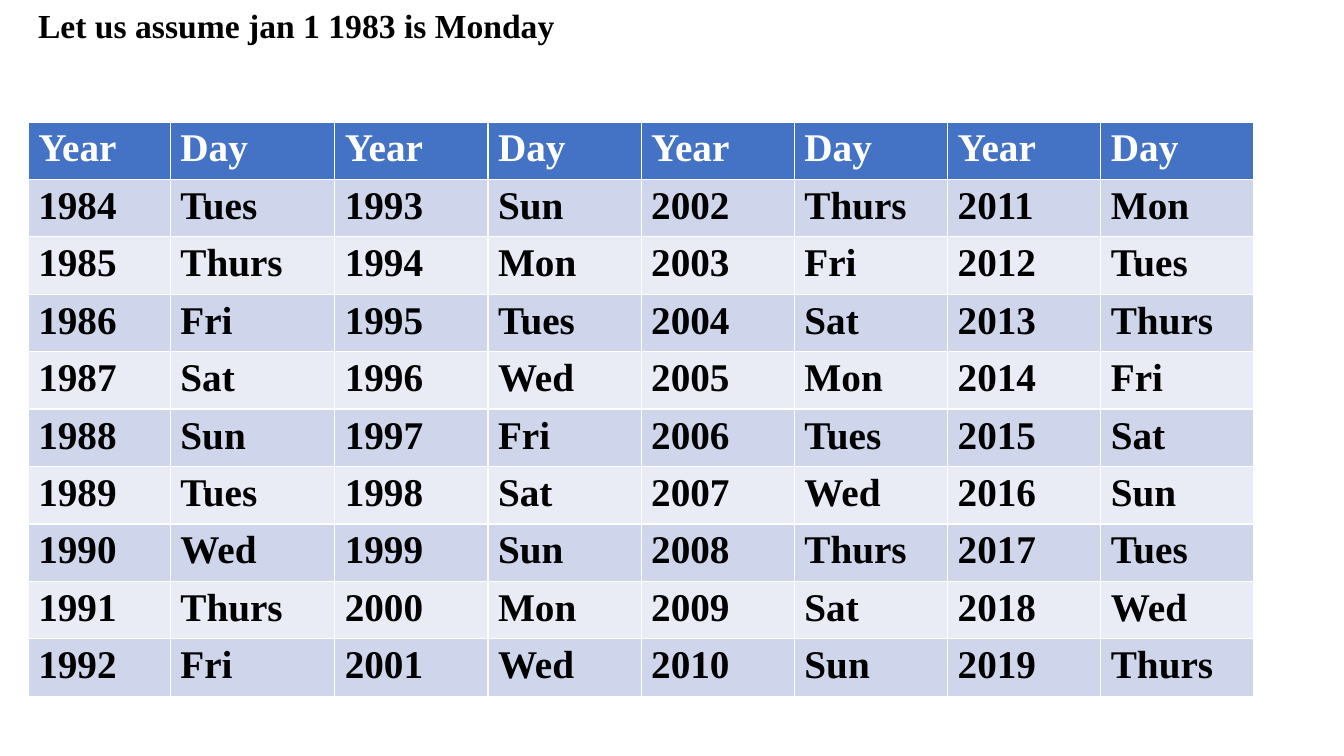
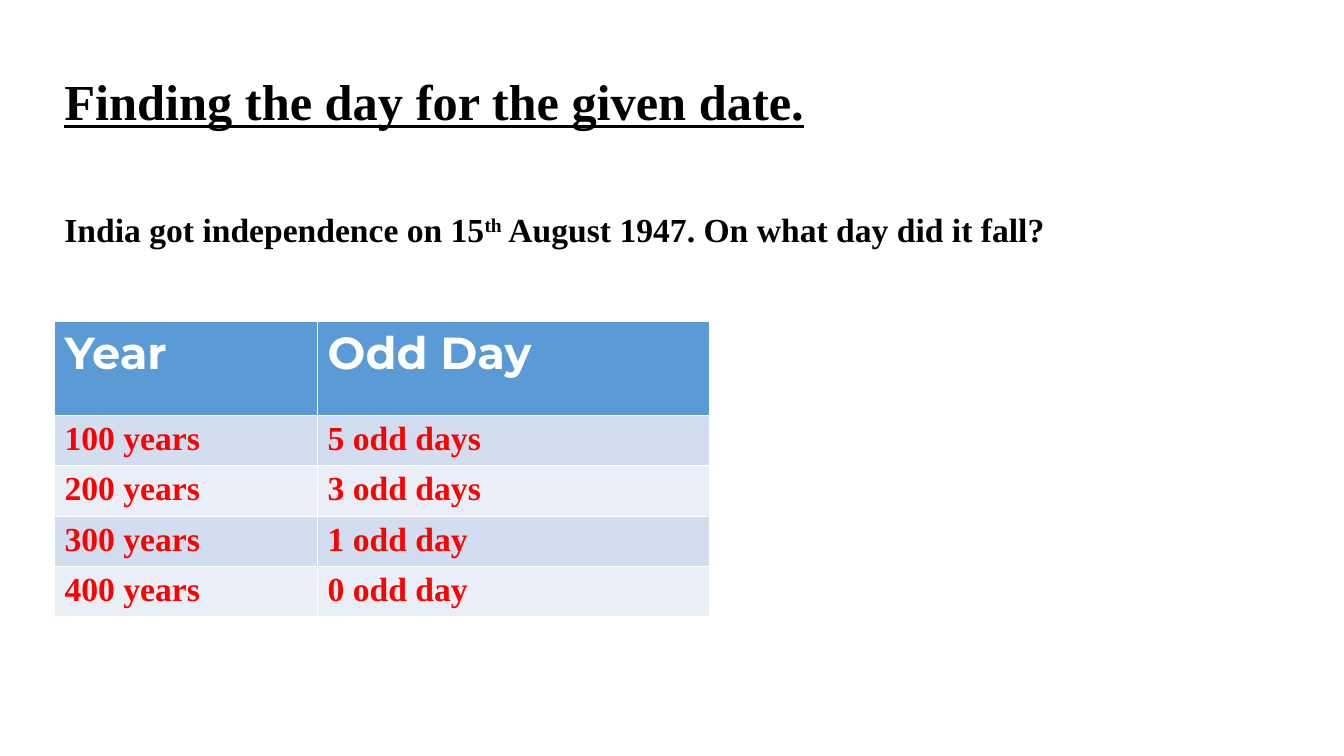
from dataclasses import dataclass

from pptx import Presentation
from pptx.dml.color import RGBColor as RGB
from pptx.enum.text import MSO_AUTO_SIZE as Fit
from pptx.util import Inches, Pt


@dataclass(frozen=True)
class Theme:
    serif: str = "Times New Roman"
    sans: str = "Montserrat"
    black: str = "000000"
    white: str = "FFFFFF"
    red: str = "FF0000"
    blue: tuple = ("4472C4", "CFD5EA", "E9EBF5")
    sky: tuple = ("5B9BD5", "D2DEEF", "EAEFF7")
    body: int = 24
    cell: int = 28
    head: int = 32
    title: int = 36


@dataclass(frozen=True)
class Style:
    size: int
    color: str
    font: str = Theme.serif
    line: bool = False


THEME = Theme()
DAYS = ["Mon", "Tues", "Wed", "Thurs", "Fri", "Sat", "Sun"]


def style_run(run, style):
    font = run.font
    font.name, font.size, font.bold = style.font, Pt(style.size), True
    font.color.rgb = RGB.from_string(style.color)
    if style.line:
        font.underline = True


def add_text(slide, box, parts, style, wrap=False):
    """Write one line; every second part is a superscript."""
    frame = slide.shapes.add_textbox(*map(Inches, box)).text_frame
    frame.word_wrap = wrap
    frame.auto_size = Fit.SHAPE_TO_FIT_TEXT
    para = frame.paragraphs[0]
    for pos, part in enumerate(parts):
        run = para.add_run()
        run.text = part
        style_run(run, style)
        if pos % 2:
            run.font._element.set("baseline", "30000")


def add_grid(slide, spot, cols, highs, rows, fills, head, body):
    """Draw a table with a header fill and two alternating row fills."""
    box = map(Inches, (*spot, sum(cols), sum(highs)))
    table = slide.shapes.add_table(len(rows), len(cols), *box).table
    for col, width in zip(table.columns, cols):
        col.width = Inches(width)
    for num, row in enumerate(rows):
        table.rows[num].height = Inches(highs[num])
        fill = fills[2 - num % 2] if num else fills[0]
        for pos, text in enumerate(row):
            cell = table.cell(num, pos)
            cell.fill.solid()
            cell.fill.fore_color.rgb = RGB.from_string(fill)
            cell.text_frame.text = text
            style_run(cell.text_frame.paragraphs[0].runs[0], body if num else head)


def first_day(year):
    """Name the day of January 1, one day on per year and two after a leap year."""
    leaps = (year - 1) // 4 - 1983 // 4
    return DAYS[(year - 1983 + leaps) % 7]


def year_rows(start, count, pairs):
    rows = [["Year", "Day"] * pairs]
    for first in range(start, start + count):
        years = range(first, first + count * pairs, count)
        rows.append([text for year in years for text in (str(year), first_day(year))])
    return rows


def add_years(slide):
    add_text(slide, (0.28, 0, 12.87, 0.5), ["Let us assume jan 1 1983 is Monday"],
             Style(THEME.body, THEME.black), wrap=True)
    add_grid(slide, (0.28, 1.21), [1.41, 1.63] + [1.52] * 6, [0.57] * 10,
             year_rows(1984, 9, 4), THEME.blue,
             Style(THEME.cell, THEME.white), Style(THEME.cell, THEME.black))


def add_odd(slide):
    rows = [
        ("Year", "Odd Day"),
        ("100 years", "5 odd days"),
        ("200 years", "3 odd days"),
        ("300 years", "1 odd day"),
        ("400 years", "0 odd day"),
    ]
    add_grid(slide, (0.54, 3.19), [2.61, 3.89], [0.93] + [0.5] * 4, rows, THEME.sky,
             Style(THEME.head, THEME.white, THEME.sans), Style(THEME.body, THEME.red))
    add_text(slide, (0.54, 0.65, 7.61, 0.71), ["Finding the day for the given date."],
             Style(THEME.title, THEME.black, line=True))
    add_text(slide, (0.54, 2.02, 10.13, 0.5),
             ["India got independence on 15", "th", " August 1947. On what day did it fall?"],
             Style(THEME.body, THEME.black))


def main():
    deck = Presentation()
    deck.slide_width, deck.slide_height = Inches(13.33), Inches(7.5)
    for build in (add_years, add_odd):
        build(deck.slides.add_slide(deck.slide_layouts[6]))
    deck.save("out.pptx")


if __name__ == "__main__":
    main()
